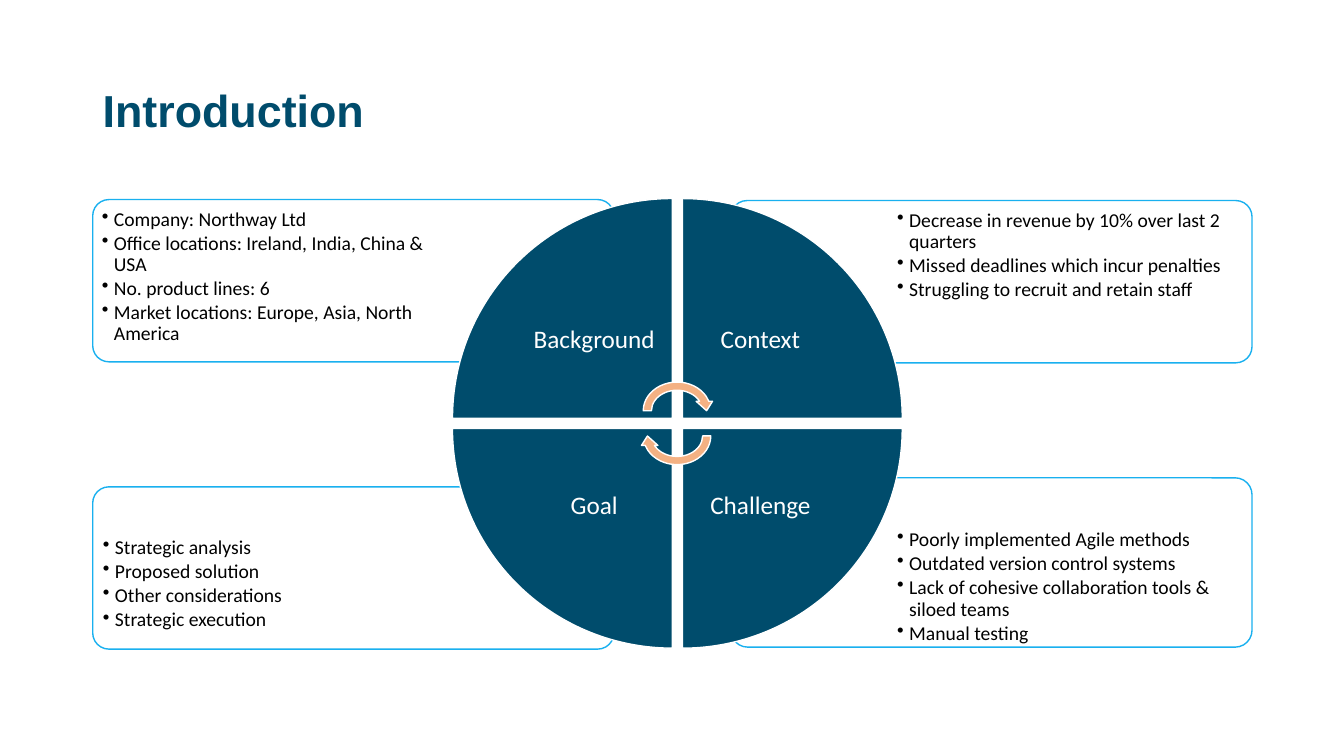
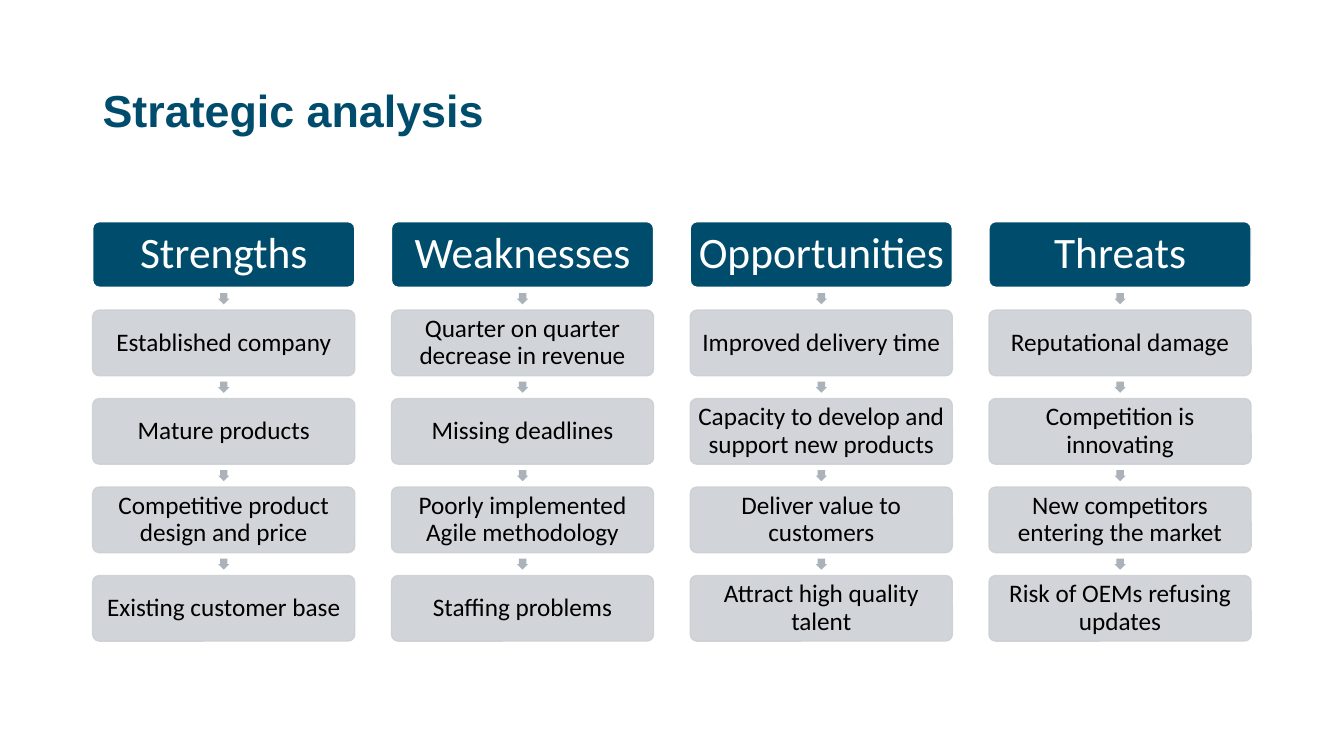
import pptx
import pptx.util
import pptx.dml.color
import pptx.enum.shapes
import pptx.enum.text
import pptx.oxml.ns
import lxml.etree

RGB = pptx.dml.color.RGBColor
NAVY = RGB(0x00, 0x4C, 0x6C)
SKY = RGB(0x00, 0xA8, 0xEE)
PEACH = RGB(0xF4, 0xB1, 0x83)
GREY = RGB(0xCC, 0xD0, 0xD4)
STEEL = RGB(0xAB, 0xB2, 0xBA)
WHITE = RGB(0xFF, 0xFF, 0xFF)
BLACK = RGB(0, 0, 0)
KIND = pptx.enum.shapes.MSO_SHAPE
ALIGN = pptx.enum.text.PP_ALIGN
ANCHOR = pptx.enum.text.MSO_ANCHOR


class Deck:
    def __init__(self):
        self.file = pptx.Presentation()
        self.file.slide_width = pptx.util.Inches(13.33)
        self.file.slide_height = pptx.util.Inches(7.5)
        self.slide = None

    def place(self, x, y, w, h):
        wide, high = self.file.slide_width, self.file.slide_height
        return [round(part * size / 100)
                for part, size in ((x, wide), (y, high), (w, wide), (h, high))]

    def page(self, title):
        self.slide = self.file.slides.add_slide(self.file.slide_layouts[6])
        self.label((6.9, 5.33, 86.25, 19.33), title, 32, NAVY,
                   align=ALIGN.LEFT, inset=0.1, font="Arial", bold=True)

    def letter(self, shape, text, size, color, align=ALIGN.CENTER, inset=0.04,
               font="Calibri", bold=False, anchor=ANCHOR.MIDDLE):
        frame = shape.text_frame
        frame.text = text
        frame.word_wrap = True
        frame.vertical_anchor = anchor
        frame.margin_left = frame.margin_right = pptx.util.Inches(inset)
        frame.margin_top = frame.margin_bottom = pptx.util.Inches(inset)
        for para in frame.paragraphs:
            para.alignment = align
            para.line_spacing = 0.9
            for run in para.runs:
                run.font.size = pptx.util.Pt(size)
                run.font.name = font
                run.font.bold = bold
                run.font.color.rgb = color

    def label(self, area, text, size, color, **style):
        box = self.slide.shapes.add_textbox(*self.place(*area))
        self.letter(box, text, size, color, **style)
        return box

    def points(self, area, lines, inset):
        box = self.label(area, "\n".join(lines), 14, BLACK, align=ALIGN.LEFT,
                         inset=inset, anchor=ANCHOR.TOP)
        hang = pptx.util.Inches(0.12)
        for para in box.text_frame.paragraphs:
            para.space_after = pptx.util.Pt(2)
            props = para._p.get_or_add_pPr()
            props.set("marL", str(hang))
            props.set("indent", str(-hang))
            mark = lxml.etree.SubElement(props, pptx.oxml.ns.qn("a:buChar"))
            mark.set("char", "•")

    def shape(self, kind, area, fill, line=None, turn=0, adjust=(), alpha=100):
        shape = self.slide.shapes.add_shape(kind, *self.place(*area))
        shape.shadow.inherit = False
        shape.rotation = turn
        for spot, value in enumerate(adjust):
            shape.adjustments[spot] = value
        shape.fill.solid()
        shape.fill.fore_color.rgb = fill
        if line is None:
            shape.line.fill.background()
        else:
            shape.line.color.rgb = line
            shape.line.width = pptx.util.Pt(1)
        if alpha < 100:
            for color in shape._element.spPr.iter(pptx.oxml.ns.qn("a:srgbClr")):
                tag = lxml.etree.SubElement(color, pptx.oxml.ns.qn("a:alpha"))
                tag.set("val", str(alpha * 1000))
        return shape

    def card(self, area, fill, line, alpha=100):
        return self.shape(KIND.ROUNDED_RECTANGLE, area, fill, line,
                          adjust=(0.1,), alpha=alpha)


TOPICS = [
    ("Background", 0, 0, 0, 26.4, 21.47, 0.06,
     ["Company: Northway Ltd", "Office locations: Ireland, India, China & USA",
      "No. product lines: 6", "Market locations: Europe, Asia, North America"]),
    ("Context", 1, 0, 90, 26.53, 21.47, 0.06,
     ["Decrease in revenue by 10% over last 2 quarters",
      "Missed deadlines which incur penalties",
      "Struggling to recruit and retain staff"]),
    ("Challenge", 1, 1, 180, 63.2, 22.4, 0.06,
     ["Poorly implemented Agile methods", "Outdated version control systems",
      "Lack of cohesive collaboration tools & siloed teams", "Manual testing"]),
    ("Goal", 0, 1, 270, 64.4, 21.47, 0.07,
     ["Strategic analysis", "Proposed solution", "Other considerations",
      "Strategic execution"]),
]

SWOT = {
    "Strengths": ["Established company", "Mature products",
                  "Competitive product design and price",
                  "Existing customer base"],
    "Weaknesses": ["Quarter on quarter decrease in revenue",
                   "Missing deadlines", "Poorly implemented Agile methodology",
                   "Staffing problems"],
    "Opportunities": ["Improved delivery time",
                      "Capacity to develop and support new products",
                      "Deliver value to customers",
                      "Attract high quality talent"],
    "Threats": ["Reputational damage", "Competition is innovating",
                "New competitors entering the market",
                "Risk of OEMs refusing updates"],
}


def intro(deck):
    deck.page("Introduction")
    wide, text_wide = 38.78, 26.63
    for name, col, row, turn, top, high, inset, lines in TOPICS:
        left = 6.9 + 47.48 * col
        deck.card((left, top, wide, high), WHITE, SKY, alpha=90)
        text_high = 0.71 * high
        text_left = left + (wide - text_wide - 0.23 if col else 0.23)
        text_top = top + (high - text_high - 0.4 if row else 0.53)
        deck.points((text_left, text_top, text_wide, text_high), lines, inset)

    mid_x, mid_y, gap_x, gap_y = 50.4, 56, 0.38, 0.67

    def sector(col, row, scale):
        w, h = 16.35 * scale, 29.07 * scale
        x = mid_x + gap_x if col else mid_x - gap_x - w
        y = mid_y + gap_y if row else mid_y - gap_y - h
        return x, y, w, h

    for name, col, row, turn, *rest in TOPICS:
        deck.shape(KIND.PIE_WEDGE, sector(col, row, 1), NAVY, WHITE, turn)
        deck.label(sector(col, row, 0.71), name, 18, WHITE, inset=0.14)
    for top, turn in ((50, 0), (53.33, 180)):
        deck.shape(KIND.CIRCULAR_ARROW, (47.56, top, 5.63, 8.67),
                   PEACH, WHITE, turn)


def swot(deck):
    deck.page("Strategic analysis")
    wide, high, tip_w, tip_h = 19.5, 8.67, 0.83, 1.47
    for col, (head, items) in enumerate(SWOT.items()):
        left = 6.9 + 22.23 * col
        for row, text in enumerate([head] + items):
            top = 29.33 + 11.7 * row
            area = left, top, wide, high
            if row == 0:
                deck.letter(deck.card(area, NAVY, WHITE), text, 31, WHITE)
                continue
            deck.shape(KIND.RIGHT_ARROW,
                       (left + (wide - tip_w) / 2, top - 2.25, tip_w, tip_h),
                       STEEL, turn=90, adjust=(0.67, 0.5))
            deck.letter(deck.card(area, GREY, GREY, alpha=90), text, 18, BLACK,
                        inset=0.03)


deck = Deck()
intro(deck)
swot(deck)
deck.file.save("out.pptx")
